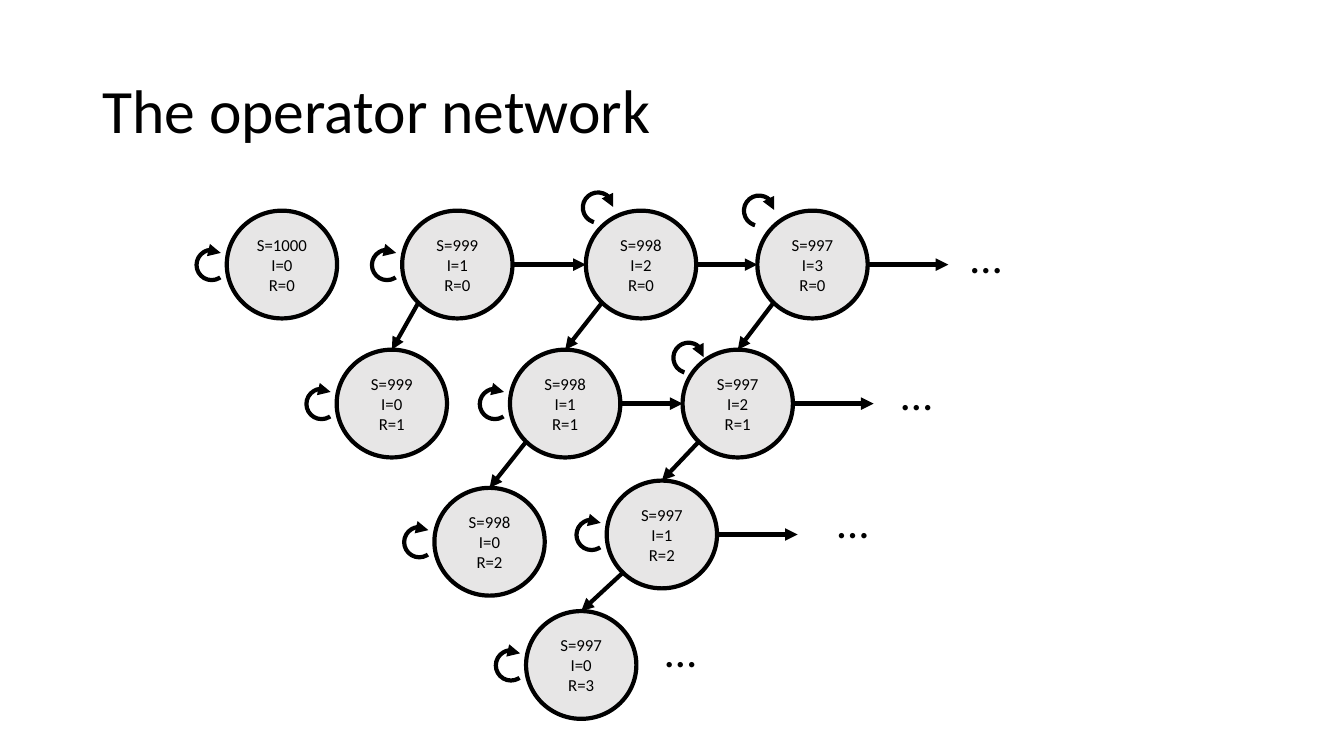
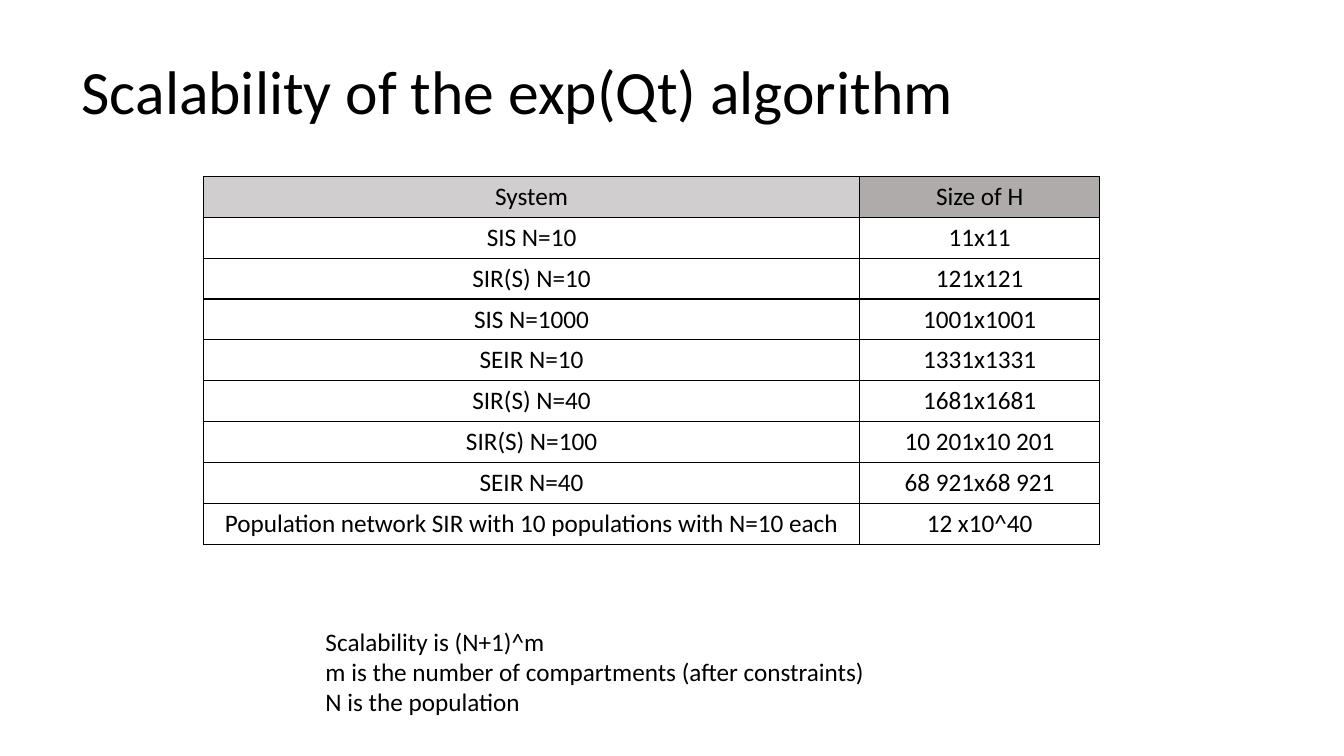
from math import sqrt

from lxml.etree import SubElement
from pptx import Presentation
from pptx.dml.color import RGBColor
from pptx.enum.shapes import MSO_CONNECTOR, MSO_SHAPE
from pptx.enum.text import MSO_ANCHOR, PP_ALIGN
from pptx.oxml.ns import qn
from pptx.util import Pt

INK, NODE_FILL = "000000", "E7E6E6"
FONT = "Calibri"
LINE_W = 3
TITLE_SIZE = (828, 104.4)

NODE_W, NODE_H = 78.8, 77
LOOP = 21.6
LOOP_DROP = 28
LOOP_ARC = (33.16, 184.26)
LOOP_TURN = 50.2
OPEN_ARROW = 57.6
LEFT, TOP, BOTTOM_LEFT, RIGHT = 2, 0, 3, 6

NODES = {
    (1000, 0, 0): (162, 150.5),
    (999, 1, 0): (287.3, 150.5),
    (999, 0, 1): (240.5, 249.8),
    (998, 2, 0): (418.5, 150.5),
    (998, 1, 1): (364.3, 249.8),
    (997, 3, 0): (541, 150.5),
    (997, 2, 1): (487.6, 249.8),
    (998, 0, 2): (310.3, 348.5),
    (997, 1, 2): (433.4, 343.3),
    (997, 0, 3): (375.8, 436.5),
}
RAISED_LOOPS = {
    (998, 2, 0): (-2.2, -13),
    (997, 3, 0): (-9.6, -10.8),
    (997, 2, 1): (-6.6, -5),
}
DOTS = [(686.2, 159.8), (636.5, 257.8), (591.1, 349.2), (468, 441.4)]

TABLE_AT = (145.4, 126)
COL_WIDTHS = (468.7, 171.4)
ROW_H = 29.2
HEAD_FILLS = ("D0CECE", "AFABAB")
SYSTEMS = [
    ("System", "Size of H"),
    ("SIS N=10", "11x11"),
    ("SIR(S) N=10", "121x121"),
    ("SIS N=1000", "1001x1001"),
    ("SEIR N=10", "1331x1331"),
    ("SIR(S) N=40", "1681x1681"),
    ("SIR(S) N=100", "10 201x10 201"),
    ("SEIR N=40", "68 921x68 921"),
    ("Population network SIR with 10 populations with N=10 each", "12 x10^40"),
]
NOTES = [
    "Scalability is (N+1)^m",
    "m is the number of compartments (after constraints)",
    "N is the population",
]


def rgb(value):
    return RGBColor.from_string(value)


def write(tf, lines, size, **para):
    for i, line in enumerate(lines):
        p = tf.paragraphs[0] if i == 0 else tf.add_paragraph()
        for name, value in para.items():
            setattr(p, name, value)
        r = p.add_run()
        r.text = line
        for name, value in {"name": FONT, "size": Pt(size)}.items():
            setattr(r.font, name, value)
        r.font.color.rgb = rgb(INK)


def add_text(s, box, lines, size, anchor=MSO_ANCHOR.TOP, **para):
    tf = s.shapes.add_textbox(*map(Pt, box)).text_frame
    tf.word_wrap = True
    tf.vertical_anchor = anchor
    write(tf, lines, size, **para)


def add_slide(prs, title, at):
    s = prs.slides.add_slide(prs.slide_layouts[6])
    add_text(s, at + TITLE_SIZE, [title], 44, MSO_ANCHOR.MIDDLE, line_spacing=0.9)
    return s


def stroke(shape, arrow):
    shape.line.color.rgb = rgb(INK)
    shape.line.width = Pt(LINE_W)
    if arrow:
        SubElement(shape.line._get_or_add_ln(), qn("a:tailEnd"), type="triangle")


def add_node(s, state):
    sp = s.shapes.add_shape(MSO_SHAPE.OVAL, *map(Pt, NODES[state] + (NODE_W, NODE_H)))
    sp.shadow.inherit = False
    sp.fill.solid()
    sp.fill.fore_color.rgb = rgb(NODE_FILL)
    stroke(sp, False)
    sp.text_frame.vertical_anchor = MSO_ANCHOR.MIDDLE
    lines = [f"{name}={count}" for name, count in zip("SIR", state)]
    write(sp.text_frame, lines, 12, alignment=PP_ALIGN.CENTER)
    return sp


def add_loop(s, state):
    dx, dy = RAISED_LOOPS.get(state, (-LOOP, LOOP_DROP))
    x, y = NODES[state]
    sp = s.shapes.add_shape(MSO_SHAPE.ARC, *map(Pt, (x + dx, y + dy, LOOP, LOOP)))
    sp.shadow.inherit = False
    sp.fill.background()
    for i, angle in enumerate(LOOP_ARC):
        sp.adjustments[i] = angle
    if state in RAISED_LOOPS:
        sp.rotation = LOOP_TURN
    stroke(sp, True)


def site_point(state, site):
    x, y = NODES[state]
    k = 0.5 / sqrt(2)
    fx, fy = {LEFT: (0, 0.5), TOP: (0.5, 0), RIGHT: (1, 0.5),
              BOTTOM_LEFT: (0.5 - k, 0.5 + k)}[site]
    return x + fx * NODE_W, y + fy * NODE_H


def add_arrow(s, ovals, start, start_site, end=None, end_site=None):
    x, y = site_point(start, start_site)
    x2, y2 = site_point(end, end_site) if end else (x + OPEN_ARROW, y)
    cxn = s.shapes.add_connector(MSO_CONNECTOR.STRAIGHT, *map(Pt, (x, y, x2, y2)))
    stroke(cxn, True)
    SubElement(cxn.element.spPr, qn("a:effectLst"))
    glue = cxn.element.find(".//" + qn("p:cNvCxnSpPr"))
    for tag, state, site in (("a:stCxn", start, start_site), ("a:endCxn", end, end_site)):
        if state:
            SubElement(glue, qn(tag), id=str(ovals[state].shape_id), idx=str(site))


def add_network(s):
    ovals = {state: add_node(s, state) for state in NODES}
    for state in NODES:
        add_loop(s, state)
        sus, inf, rec = state
        if inf:
            infected = (sus - 1, inf + 1, rec)
            target = (infected, LEFT) if infected in NODES else ()
            add_arrow(s, ovals, state, RIGHT, *target)
            add_arrow(s, ovals, state, BOTTOM_LEFT, (sus, inf - 1, rec + 1), TOP)
    for at in DOTS:
        add_text(s, at + (49, 46.1), ["…"], 32)


def style_cell(cell, fill):
    if fill:
        cell.fill.solid()
        cell.fill.fore_color.rgb = rgb(fill)
    else:
        cell.fill.background()
    tcPr = cell._tc.get_or_add_tcPr()
    for i, side in enumerate(("a:lnL", "a:lnR", "a:lnT", "a:lnB")):
        ln = tcPr.makeelement(qn(side), w=str(Pt(1)))
        SubElement(SubElement(ln, qn("a:solidFill")), qn("a:srgbClr"), val=INK)
        tcPr.insert(i, ln)


def add_systems(s):
    size = (sum(COL_WIDTHS), ROW_H * len(SYSTEMS))
    table = s.shapes.add_table(len(SYSTEMS), len(COL_WIDTHS),
                               *map(Pt, TABLE_AT + size)).table
    table.first_row = table.horz_banding = False
    for col, width in zip(table.columns, COL_WIDTHS):
        col.width = Pt(width)
    for i, row in enumerate(SYSTEMS):
        for j, text in enumerate(row):
            cell = table.cell(i, j)
            write(cell.text_frame, [text], 18, alignment=PP_ALIGN.CENTER)
            style_cell(cell, HEAD_FILLS[j] if i == 0 else None)


def main():
    prs = Presentation()
    prs.slide_width, prs.slide_height = Pt(960), Pt(540)
    add_network(add_slide(prs, "The operator network", (66, 28.8)))
    s = add_slide(prs, "Scalability of the exp(Qt) algorithm", (51.3, 15.6))
    add_text(s, (225.4, 443.5, 480, 72.7), NOTES, 18)
    add_systems(s)
    prs.save("out.pptx")


if __name__ == "__main__":
    main()
